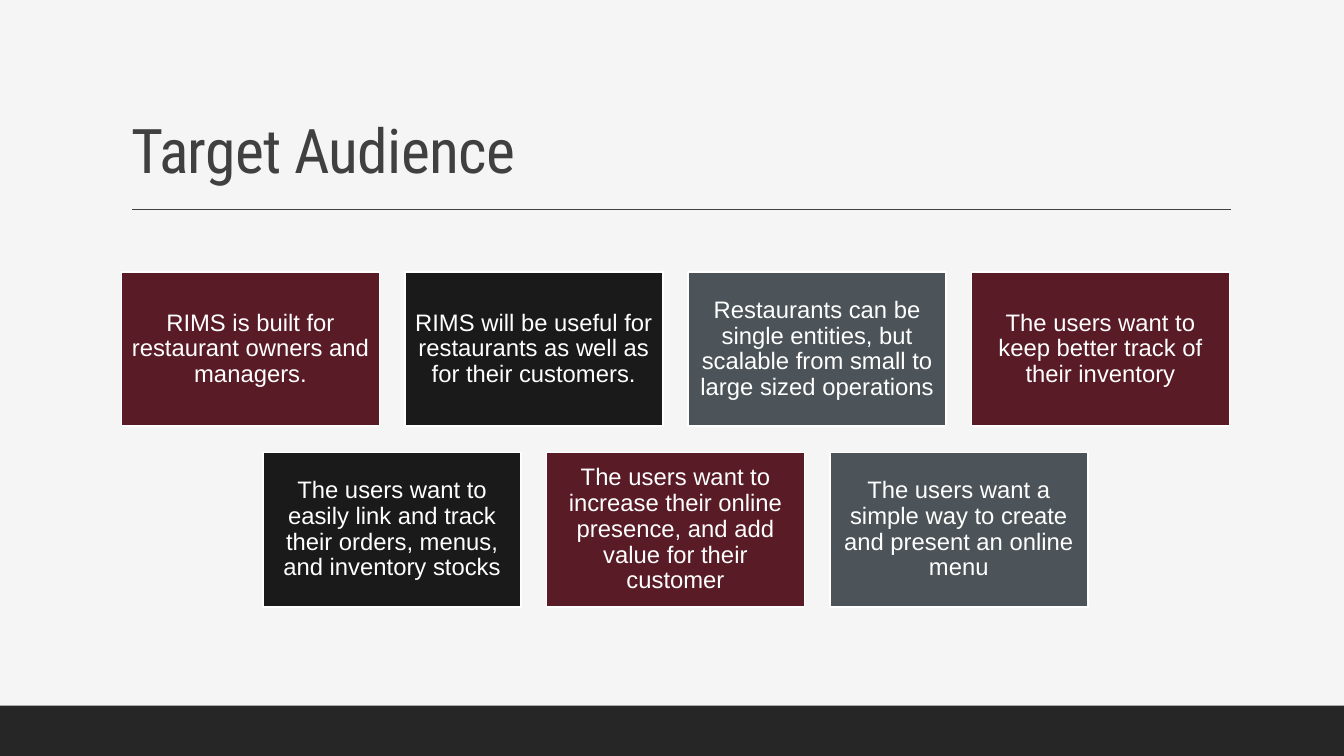
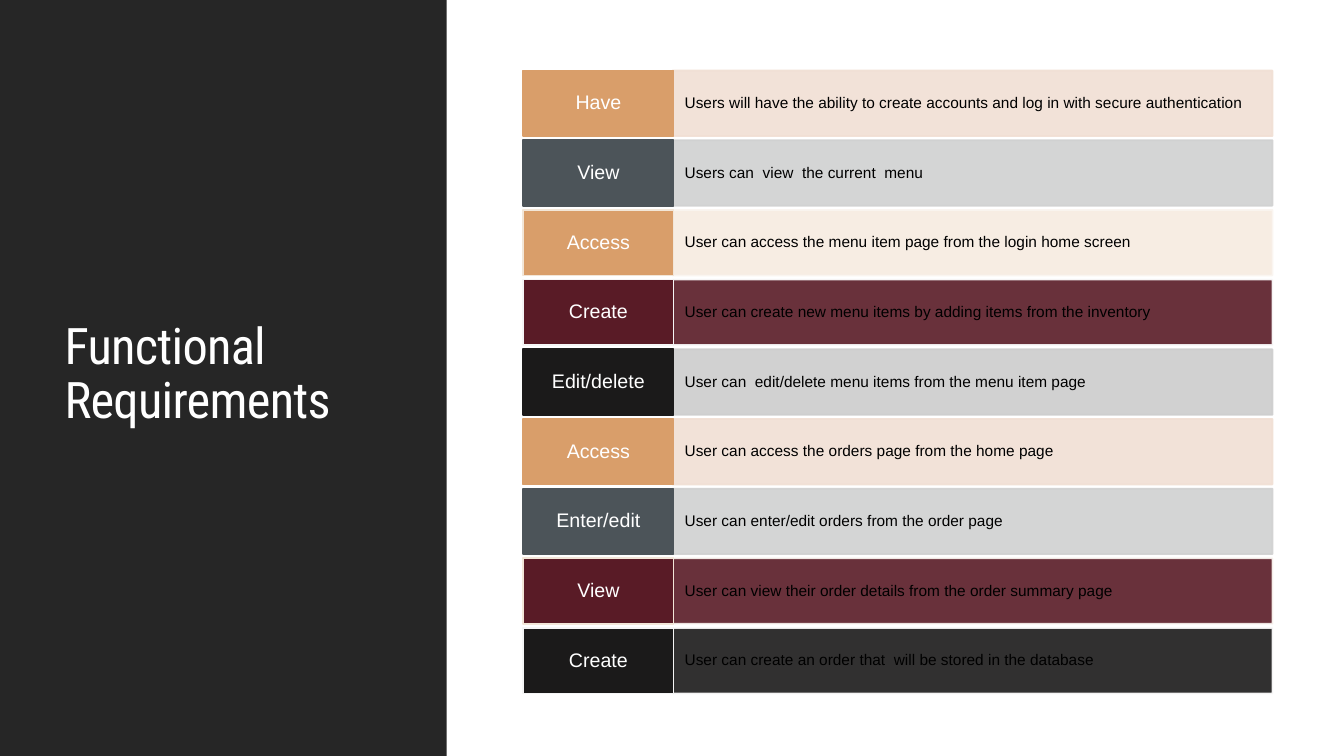
from dataclasses import dataclass

from lxml import etree
from pptx import Presentation
from pptx import util as u
from pptx.dml.color import RGBColor
from pptx.enum import shapes, text
from pptx.oxml.ns import qn

# Shared look
TITLE_FONT, BODY_FONT = "Roboto Condensed", "Arial"
WHITE, BLACK, PAPER = "FFFFFF", "000000", "F5F5F5"
DARK, TITLE_GREY = "262626", "404040"
WINE, INK, SLATE, TAN = "591B26", "1B1A1A", "4C5459", "D99E6A"
PALE_TAN, PALE_SLATE, CREAM, PALE_INK = "F1DFD4", "D0D1D1", "F7ECE1", "CDCDCD"
EDGE_CREAM, EDGE_CREAM_LIGHT, EDGE_LIGHT = "F2E6D8", "FAF5F0", "FBFBFB"
PAGE_WIDTH, PAGE_HEIGHT = 13.33, 7.5
PANEL_OPACITY = 90


@dataclass(frozen=True)
class Area:
    left: float
    top: float
    width: float
    height: float

    def lengths(self):
        return [u.Inches(v) for v in (self.left, self.top, self.width, self.height)]


@dataclass(frozen=True)
class Card:
    words: str
    fill: str


@dataclass(frozen=True)
class Requirement:
    verb: str
    words: str
    fill: str
    panel: str
    edge: str
    panel_edge: str


@dataclass(frozen=True)
class TextStyle:
    size: float
    color: str
    align: text.PP_ALIGN
    inset_x: float
    inset_y: float


CARD_STYLE = TextStyle(17, WHITE, text.PP_ALIGN.CENTER, 0.07, 0.07)
VERB_STYLE = TextStyle(14, WHITE, text.PP_ALIGN.CENTER, 0.08, 0.06)
PANEL_STYLE = TextStyle(11, BLACK, text.PP_ALIGN.LEFT, 0.12, 0.17)

CARD_ROWS = [
    [
        Card("RIMS is built for restaurant owners and managers.", WINE),
        Card("RIMS will be useful for restaurants as well as for their customers.", INK),
        Card("Restaurants can be single entities, but scalable from small to "
             "large sized operations", SLATE),
        Card("The users want to keep better track of their inventory", WINE),
    ],
    [
        Card("The users want to easily link and track their orders, menus, "
             "and inventory stocks", INK),
        Card("The users want to increase their online presence, and add value "
             "for their customer", WINE),
        Card("The users want a simple way to create and present an online menu", SLATE),
    ],
]

REQUIREMENTS = [
    Requirement("Have", "Users will have the ability to create accounts and log in "
                "with secure authentication", TAN, PALE_TAN, TAN, PALE_TAN),
    Requirement("View", "Users can  view  the current  menu",
                SLATE, PALE_SLATE, SLATE, PALE_SLATE),
    Requirement("Access", "User can access the menu item page from the login home screen",
                TAN, CREAM, EDGE_CREAM, EDGE_CREAM_LIGHT),
    Requirement("Create", "User can create new menu items by adding items from the inventory",
                WINE, WINE, PAPER, EDGE_LIGHT),
    Requirement("Edit/delete", "User can  edit/delete menu items from the menu item page",
                INK, PALE_INK, INK, PALE_INK),
    Requirement("Access", "User can access the orders page from the home page",
                TAN, PALE_TAN, TAN, PALE_TAN),
    Requirement("Enter/edit", "User can enter/edit orders from the order page",
                SLATE, PALE_SLATE, SLATE, PALE_SLATE),
    Requirement("View", "User can view their order details from the order summary page",
                WINE, WINE, EDGE_CREAM, EDGE_CREAM_LIGHT),
    Requirement("Create", "User can create an order that  will be stored in the database",
                INK, INK, PAPER, EDGE_LIGHT),
]


def rgb(color: str) -> RGBColor:
    return RGBColor.from_string(color)


def new_page(deck, background: str):
    page = deck.slides.add_slide(deck.slide_layouts[5])
    page.background.fill.solid()
    page.background.fill.fore_color.rgb = rgb(background)
    return page


def set_title(page, words: str, area: Area, size: float, color: str, anchor) -> None:
    title = page.shapes.title
    title.left, title.top, title.width, title.height = area.lengths()
    frame = title.text_frame
    frame.text = words
    frame.word_wrap = True
    frame.auto_size = text.MSO_AUTO_SIZE.NONE
    frame.vertical_anchor = anchor
    para = frame.paragraphs[0]
    para.alignment = text.PP_ALIGN.LEFT
    para.line_spacing = 0.9
    span = para.runs[0]
    span.font.name = TITLE_FONT
    span.font.size = u.Pt(size)
    span.font.color.rgb = rgb(color)
    span.font._element.set("spc", "-50")


def add_box(page, area: Area, fill: str, edge: str | None = None):
    box = page.shapes.add_shape(shapes.MSO_SHAPE.RECTANGLE, *area.lengths())
    box.shadow.inherit = False
    box.fill.solid()
    box.fill.fore_color.rgb = rgb(fill)
    if edge is None:
        box.line.fill.background()
    else:
        box.line.color.rgb = rgb(edge)
        box.line.width = u.Pt(1.25)
    return box


def write(box, words: str, style: TextStyle) -> None:
    frame = box.text_frame
    frame.text = words
    frame.word_wrap = True
    frame.vertical_anchor = text.MSO_ANCHOR.MIDDLE
    frame.margin_left = frame.margin_right = u.Inches(style.inset_x)
    frame.margin_top = frame.margin_bottom = u.Inches(style.inset_y)
    para = frame.paragraphs[0]
    para.alignment = style.align
    para.line_spacing = 0.9
    font = para.runs[0].font
    font.name = BODY_FONT
    font.size = u.Pt(style.size)
    font.color.rgb = rgb(style.color)


def set_opacity(box, percent: int) -> None:
    """Apply the same opacity to the fill and the outline."""
    for color in box._element.spPr.iter(qn("a:srgbClr")):
        etree.SubElement(color, qn("a:alpha")).set("val", str(percent * 1000))


def add_rule(page, left: float, right: float, top: float) -> None:
    rule = page.shapes.add_connector(
        shapes.MSO_CONNECTOR.STRAIGHT,
        u.Inches(left), u.Inches(top), u.Inches(right), u.Inches(top))
    rule.line.color.rgb = rgb(TITLE_GREY)
    rule.line.width = u.Pt(1)
    etree.SubElement(rule._element.spPr, qn("a:effectLst"))


def build_audience(deck) -> None:
    page = new_page(deck, PAPER)
    add_box(page, Area(0, 7, PAGE_WIDTH, 0.5), DARK)
    add_rule(page, 1.31, 12.21, 2.08)
    set_title(page, "Target Audience", Area(1.2, 0.31, 11, 1.59), 44, TITLE_GREY,
              text.MSO_ANCHOR.BOTTOM)

    # Rows of cards, each centred on the same axis
    width, height, gap, center = 2.56, 1.53, 0.25, 6.7
    for row, cards in enumerate(CARD_ROWS):
        left = center - (len(cards) * (width + gap) - gap) / 2
        top = 2.7 + row * 1.79
        for column, card in enumerate(cards):
            area = Area(left + column * (width + gap), top, width, height)
            write(add_box(page, area, card.fill, WHITE), card.words, CARD_STYLE)


def build_requirements(deck) -> None:
    page = new_page(deck, WHITE)
    add_box(page, Area(0, 0, 4.43, PAGE_HEIGHT), DARK)
    set_title(page, "Functional Requirements", Area(0.54, 0.57, 3.37, 6.31), 36, WHITE,
              text.MSO_ANCHOR.MIDDLE)
    # Bring the title in front of the side panel
    page.shapes._spTree.append(page.shapes.title._element)

    # One verb and one description panel per row
    first, last, height = 0.7, 6.23, 0.65
    pitch = (last - first) / (len(REQUIREMENTS) - 1)
    for row, item in enumerate(REQUIREMENTS):
        top = first + row * pitch
        panel = add_box(page, Area(6.67, top, 5.95, height), item.panel, item.panel_edge)
        set_opacity(panel, PANEL_OPACITY)
        write(panel, item.words, PANEL_STYLE)
        verb = add_box(page, Area(5.19, top, 1.49, height), item.fill, item.edge)
        write(verb, item.verb, VERB_STYLE)


def main() -> None:
    deck = Presentation()
    deck.slide_width = u.Inches(PAGE_WIDTH)
    deck.slide_height = u.Inches(PAGE_HEIGHT)
    build_audience(deck)
    build_requirements(deck)
    deck.save("out.pptx")


if __name__ == "__main__":
    main()
